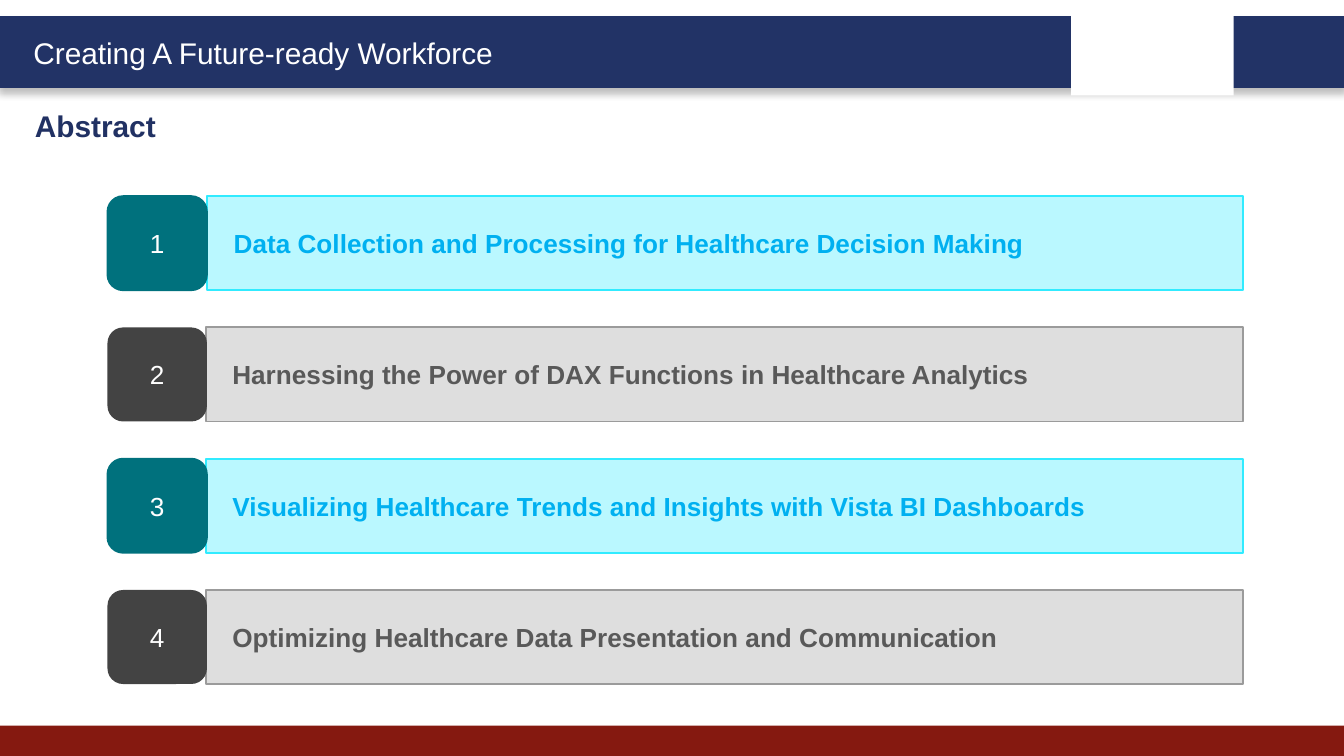
from dataclasses import dataclass

from lxml.etree import SubElement
from pptx import Presentation
from pptx.dml.color import RGBColor as RGB
from pptx.enum.shapes import MSO_SHAPE as Shape
from pptx.enum.text import MSO_ANCHOR as Anchor, MSO_AUTO_SIZE as Fit, PP_ALIGN as Align
from pptx.oxml.ns import qn
from pptx.util import Inches, Pt


@dataclass(frozen=True)
class Theme:
    font: str = "Arial"
    head: int = 16
    body: int = 14
    white: str = "FFFFFF"
    navy: str = "223366"
    title: str = "213163"
    red: str = "851910"
    # Fill, edge and text of a bar, then fill and edge of its number
    cyan: tuple = ("BAF8FF", "31EBFF", "00B0F0", "00717D", "00717D")
    gray: tuple = ("DEDEDE", "9B9B9B", "595959", "434343", None)


theme = Theme()


def write(shape, text, size=theme.body, color=theme.white, bold=False,
          align=Align.LEFT, anchor=Anchor.MIDDLE, indent=0):
    frame = shape.text_frame
    frame.word_wrap = True
    frame.auto_size = Fit.NONE
    frame.vertical_anchor = anchor
    para = frame.paragraphs[0]
    para.alignment = align
    if indent:
        para._p.get_or_add_pPr().set("marL", str(Inches(indent)))
    run = para.add_run()
    run.text = text
    font = run.font
    font.name, font.size, font.bold = theme.font, Pt(size), bold
    font.color.rgb = RGB.from_string(color)


def block(kind, left, top, width, height, fill, edge=None, weight=1):
    shape = slide.shapes.add_shape(
        kind, Inches(left), Inches(top), Inches(width), Inches(height))
    shape.shadow.inherit = False
    shape.fill.solid()
    shape.fill.fore_color.rgb = RGB.from_string(fill)
    if edge:
        shape.line.color.rgb = RGB.from_string(edge)
        shape.line.width = Pt(weight)
    else:
        shape.line.fill.background()
    return shape


# Widescreen slide, 16 to 9
deck = Presentation()
deck.slide_width, deck.slide_height = Inches(10), Inches(10 * 9 / 16)
slide = deck.slides.add_slide(deck.slide_layouts[5])

# Header band with a soft shadow, footer band and white plate
band = block(Shape.RECTANGLE, 0, 0.13, 10, 0.51, theme.navy, theme.navy, 2)
glow = SubElement(band._element.spPr.find(qn("a:effectLst")), qn("a:outerShdw"),
                  blurRad=str(Pt(4)), dist=str(Pt(3)), dir="5400000",
                  algn="t", rotWithShape="0")
tint = SubElement(glow, qn("a:srgbClr"), val="000000")
SubElement(tint, qn("a:alpha"), val="25000")
block(Shape.RECTANGLE, 0, 5.4, 10, 0.23, theme.red)
block(Shape.RECTANGLE, 7.97, 0.07, 1.21, 0.64, theme.white)

# Header text and slide title
motto = slide.shapes.add_textbox(Inches(0.15), Inches(0.21), Inches(3.78), Inches(0.37))
write(motto, "Creating A Future-ready Workforce", size=theme.head, anchor=Anchor.TOP)

title = slide.shapes.title
title.left, title.top = Inches(0.16), Inches(0.75)
title.width, title.height = Inches(4.84), Inches(0.37)
write(title, "Abstract", size=theme.head, color=theme.title, bold=True, anchor=Anchor.TOP)

# Numbered topics in alternating colours
topics = [
    "Data Collection and Processing for Healthcare Decision Making",
    "Harnessing the Power of DAX Functions in Healthcare Analytics",
    "Visualizing Healthcare Trends and Insights with Vista BI Dashboards",
    "Optimizing Healthcare Data Presentation and Communication",
]
right, first, last, high = 9.25, 1.46, 4.39, 0.7
step = (last - first) / (len(topics) - 1)
for i, topic in enumerate(topics):
    fill, edge, ink, badge, rim = (theme.cyan, theme.gray)[i % 2]
    top = first + i * step
    left = 1.53 if i else 1.54
    bar = block(Shape.RECTANGLE, left, top, right - left, high, fill, edge)
    write(bar, topic, color=ink, bold=True, indent=0.1)
    number = block(Shape.ROUNDED_RECTANGLE, 0.8, top, 0.74, high, badge, rim)
    write(number, str(i + 1), align=Align.CENTER)

deck.save("out.pptx")
